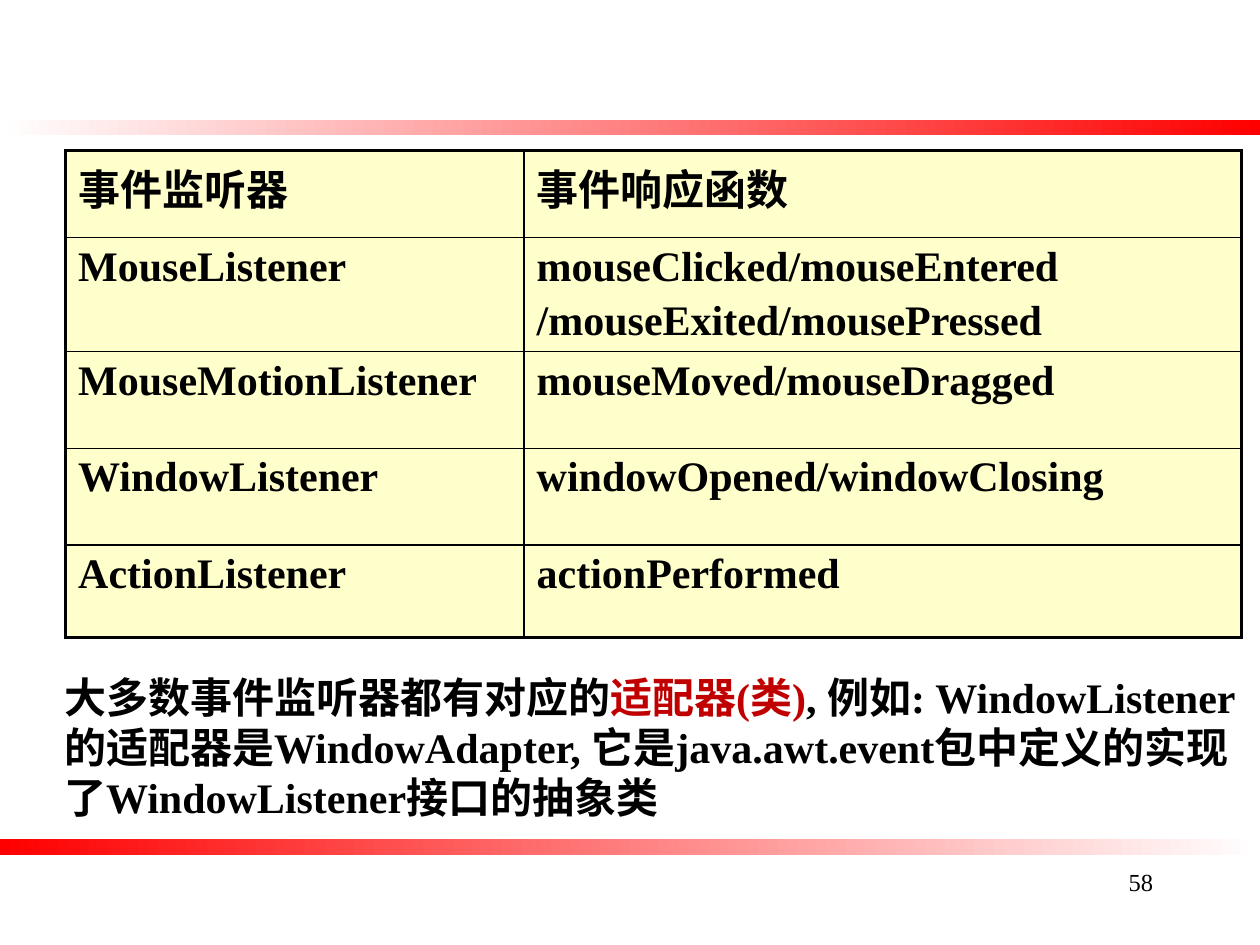
import pptx
import pptx.dml.color
import pptx.enum.shapes
import pptx.enum.text
import pptx.oxml
import pptx.oxml.ns
import pptx.util

Pt = pptx.util.Pt
FACE = "Times New Roman"
WIDE = 720

ROWS = [
    ("事件监听器", ["事件响应函数"]),
    ("MouseListener", ["mouseClicked/mouseEntered", "/mouseExited/mousePressed"]),
    ("MouseMotionListener", ["mouseMoved/mouseDragged"]),
    ("WindowListener", ["windowOpened/windowClosing"]),
    ("ActionListener", ["actionPerformed"]),
]
COLS = [262, 410]
HIGH = [49.7, 55.4, 55.4, 55.4, 52.6]
NOTE = [
    ("大多数事件监听器都有对应的", "000000"),
    ("适配器(类)", "C00000"),
    (", 例如: WindowListener的适配器是WindowAdapter, "
     "它是java.awt.event包中定义的实现了WindowListener接口的抽象类", "000000"),
]
BARS = [(68.4, "FFFFFF", "FF0000"), (479.5, "FF0000", "FFFFFF")]
PAGE = "58"


def color(code):
    return pptx.dml.color.RGBColor.from_string(code)


def style(font, size, bold):
    font.name, font.size, font.bold = FACE, Pt(size), bold


def add_bar(slide, top, start, end):
    bar = slide.shapes.add_shape(
        pptx.enum.shapes.MSO_SHAPE.RECTANGLE, 0, Pt(top), Pt(WIDE), Pt(9))
    bar.shadow.inherit = False
    bar.line.fill.background()
    bar.fill.gradient()
    bar.fill.gradient_angle = 0
    for stop, code in zip(bar.fill.gradient_stops, (start, end)):
        stop.color.rgb = color(code)


def add_box(slide, left, top, width, height):
    box = slide.shapes.add_textbox(Pt(left), Pt(top), Pt(width), Pt(height))
    box.text_frame.word_wrap = True
    return box.text_frame


def edge(cell, sides):
    """Draw cell borders; sides maps L, R, T, B in that order to widths."""
    props = cell._tc.get_or_add_tcPr()
    for spot, (side, width) in enumerate(sides.items()):
        props.insert(spot, pptx.oxml.parse_xml(
            f'<a:ln{side} {pptx.oxml.ns.nsdecls("a")} w="{Pt(width)}">'
            '<a:solidFill><a:srgbClr val="000000"/></a:solidFill>'
            f'</a:ln{side}>'))


def fill_cell(cell, lines):
    cell.fill.solid()
    cell.fill.fore_color.rgb = color("FFFFCC")
    frame = cell.text_frame
    frame.text = "\n".join(lines)
    for spot, para in enumerate(frame.paragraphs):
        style(para.font, 24, True)
        para.font.color.rgb = color("000000")
        if spot:
            para.space_before = Pt(4.8)


def add_grid(slide):
    grid = slide.shapes.add_table(
        len(ROWS), len(COLS), Pt(37.5), Pt(86), Pt(sum(COLS)), Pt(sum(HIGH))).table
    for col, width in zip(grid.columns, COLS):
        col.width = Pt(width)
    for row, height in zip(grid.rows, HIGH):
        row.height = Pt(height)
    last = len(ROWS) - 1
    for r, (name, calls) in enumerate(ROWS):
        for c, lines in enumerate(([name], calls)):
            cell = grid.cell(r, c)
            fill_cell(cell, lines)
            outer = {"L": c == 0, "R": c == 1, "T": r == 0, "B": r == last}
            edge(cell, {side: 2.25 if out else 1 for side, out in outer.items()})


def main():
    deck = pptx.Presentation()
    deck.slide_width, deck.slide_height = Pt(WIDE), Pt(540)
    slide = deck.slides.add_slide(deck.slide_layouts[6])
    for bar in BARS:
        add_bar(slide, *bar)
    add_grid(slide)

    page = add_box(slide, 516, 492, 150, 36).paragraphs[0]
    page.text = PAGE
    page.alignment = pptx.enum.text.PP_ALIGN.RIGHT
    style(page.font, 14, False)
    page.font.color.rgb = color("000000")

    note = add_box(slide, 29.5, 380, 691, 94.5).paragraphs[0]
    style(note.font, 24, True)
    for text, code in NOTE:
        run = note.add_run()
        run.text = text
        run.font.color.rgb = color(code)

    deck.save("out.pptx")


if __name__ == "__main__":
    main()
